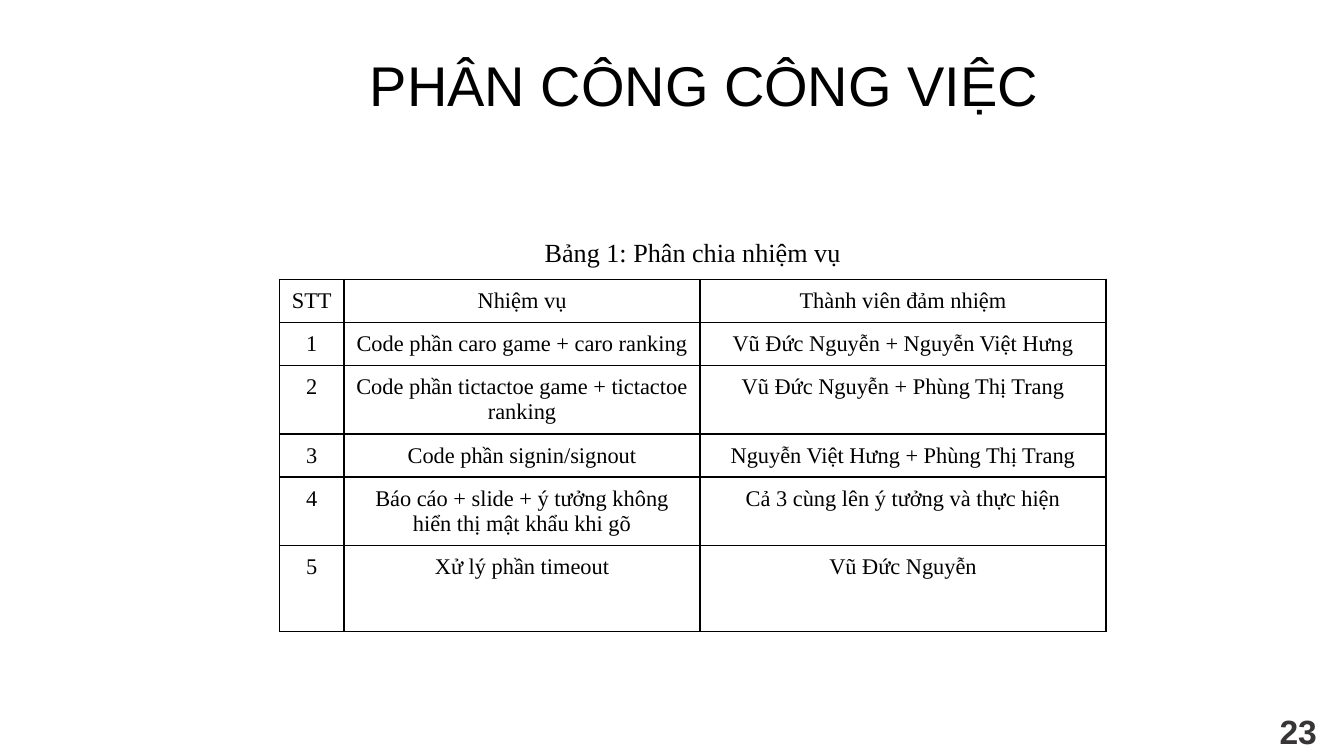
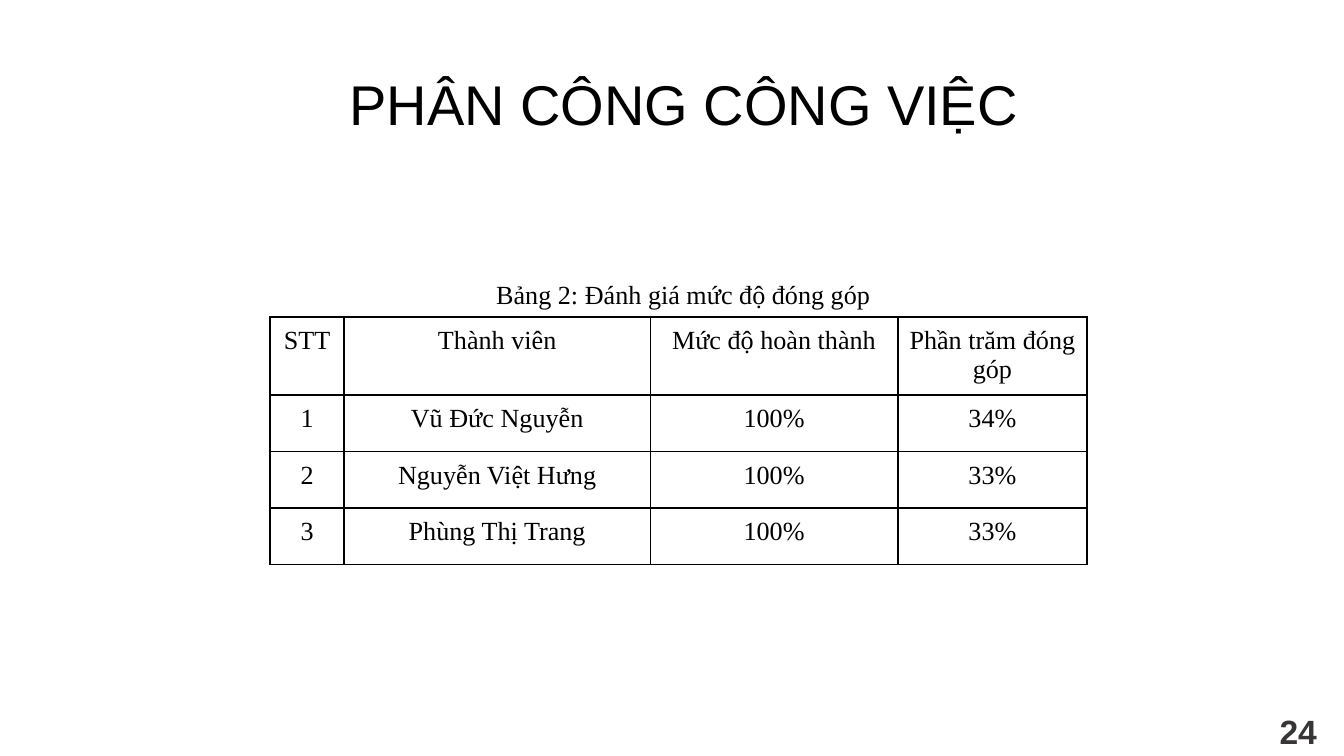
from dataclasses import dataclass

from lxml import etree
from pptx import Presentation
from pptx.dml.color import RGBColor
from pptx.enum import text
from pptx.oxml import ns
from pptx.util import Inches, Pt


@dataclass(frozen=True)
class Theme:
    ink: str = "000000"
    number_ink: str = "383536"
    paper: str = "FFFFFF"
    heading_font: str = "Arial"
    body_font: str = "Times New Roman"
    title_size: int = 30
    number_size: int = 18
    caption_size: int = 14
    border_width: int = 1
    box_inset: float = 0.1
    cell_inset: float = 0.07
    cell_bottom: float = 0.04


THEME = Theme()
TITLE = "PHÂN CÔNG CÔNG VIỆC"
CAPTION_WIDTH = 6.15

TASKS = [
    ("STT", "Nhiệm vụ", "Thành viên đảm nhiệm"),
    ("1", "Code phần caro game + caro ranking", "Vũ Đức Nguyễn + Nguyễn Việt Hưng"),
    ("2", "Code phần tictactoe game + tictactoe ranking", "Vũ Đức Nguyễn + Phùng Thị Trang"),
    ("3", "Code phần signin/signout", "Nguyễn Việt Hưng + Phùng Thị Trang"),
    ("4", "Báo cáo + slide + ý tưởng không hiển thị mật khẩu khi gõ",
     "Cả 3 cùng lên ý tưởng và thực hiện"),
    ("5", "Xử lý phần timeout", "Vũ Đức Nguyễn"),
]

CONTRIBUTIONS = [
    ("STT", "Thành viên", "Mức độ hoàn thành", "Phần trăm đóng góp"),
    ("1", "Vũ Đức Nguyễn", "100%", "34%"),
    ("2", "Nguyễn Việt Hưng", "100%", "33%"),
    ("3", "Phùng Thị Trang", "100%", "33%"),
]


def write_centred(frame, words, font, size, color, bold=False):
    paragraph = frame.paragraphs[0]
    paragraph.alignment = text.PP_ALIGN.CENTER
    run = paragraph.add_run()
    run.text = words
    run.font.name = font
    run.font.size = Pt(size)
    run.font.bold = bold
    run.font.color.rgb = RGBColor.from_string(color)


def set_insets(holder, inset, bottom):
    for side in ("left", "top", "right"):
        setattr(holder, f"margin_{side}", Inches(inset))
    holder.margin_bottom = Inches(bottom)


def add_label(slide, box, words, font, size, color=THEME.ink, bold=False):
    frame = slide.shapes.add_textbox(*map(Inches, box)).text_frame
    frame.word_wrap = True
    frame.vertical_anchor = text.MSO_ANCHOR.TOP
    set_insets(frame, THEME.box_inset, THEME.box_inset)
    write_centred(frame, words, font, size, color, bold)


def add_borders(cell):
    properties = cell._tc.get_or_add_tcPr()
    for side in ("lnL", "lnR", "lnT", "lnB"):
        line = etree.SubElement(properties, ns.qn(f"a:{side}"), w=str(Pt(THEME.border_width)))
        fill = etree.SubElement(line, ns.qn("a:solidFill"))
        etree.SubElement(fill, ns.qn("a:srgbClr"), val=THEME.ink)


def add_grid(slide, left, top, widths, heights, entries, size):
    box = map(Inches, (left, top, sum(widths), sum(heights)))
    grid = slide.shapes.add_table(len(heights), len(widths), *box).table
    grid.first_row = False
    grid.horz_banding = False
    for column, width in zip(grid.columns, widths):
        column.width = Inches(width)
    for row, height, words in zip(grid.rows, heights, entries):
        row.height = Inches(height)
        for cell, entry in zip(row.cells, words):
            add_borders(cell)
            cell.fill.background()
            set_insets(cell, THEME.cell_inset, THEME.cell_bottom)
            write_centred(cell.text_frame, entry, THEME.body_font, size, THEME.ink)


def add_assignment_slide(deck, number, title_at, caption, caption_top, grid_at,
                         widths, heights, entries, size):
    slide = deck.slides.add_slide(deck.slide_layouts[6])
    slide.background.fill.solid()
    slide.background.fill.fore_color.rgb = RGBColor.from_string(THEME.paper)
    add_label(slide, (9.36, 5.19, 0.6, 0.43), str(number), THEME.heading_font,
              THEME.number_size, THEME.number_ink, bold=True)
    add_label(slide, (*title_at, 6.8, 0.56), TITLE, THEME.heading_font, THEME.title_size)
    add_label(slide, (grid_at[0], caption_top, CAPTION_WIDTH, 0.26), caption,
              THEME.body_font, THEME.caption_size)
    add_grid(slide, *grid_at, widths, heights, entries, size)


def main():
    deck = Presentation()
    deck.slide_width = Inches(10)
    deck.slide_height = Inches(10) * 9 // 16
    add_assignment_slide(
        deck, 23, (1.84, 0.28), "Bảng 1: Phân chia nhiệm vụ", 1.66, (2.08, 2.08),
        (0.48, 2.65, 3.02), (0.32, 0.32, 0.51, 0.32, 0.51, 0.64), TASKS, 12)
    add_assignment_slide(
        deck, 24, (1.69, 0.42), "Bảng 2: Đánh giá mức độ đóng góp", 1.97, (2.01, 2.36),
        (0.55, 2.28, 1.84, 1.41), (0.58, 0.42, 0.42, 0.42), CONTRIBUTIONS, 14)
    deck.save("out.pptx")


if __name__ == "__main__":
    main()
